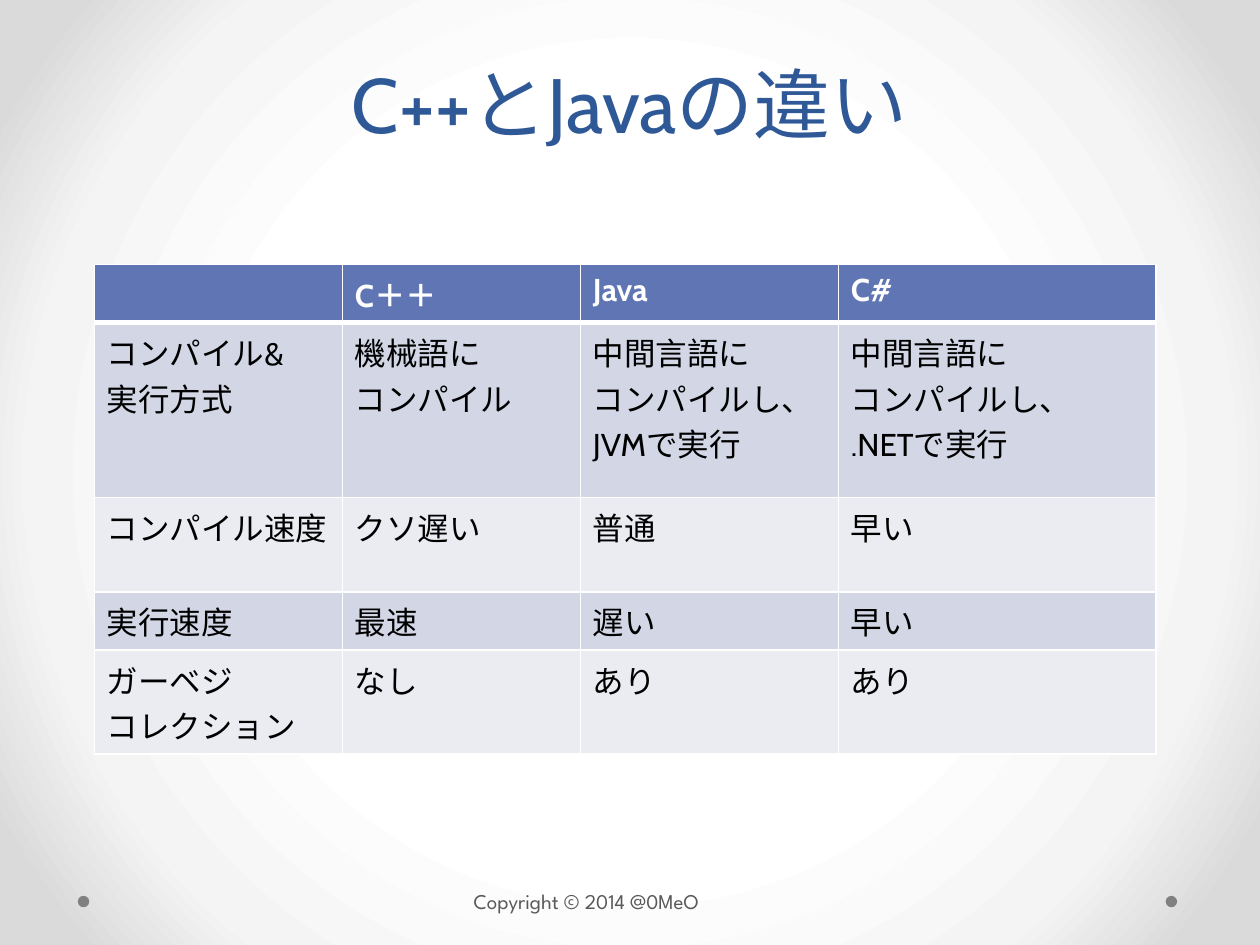
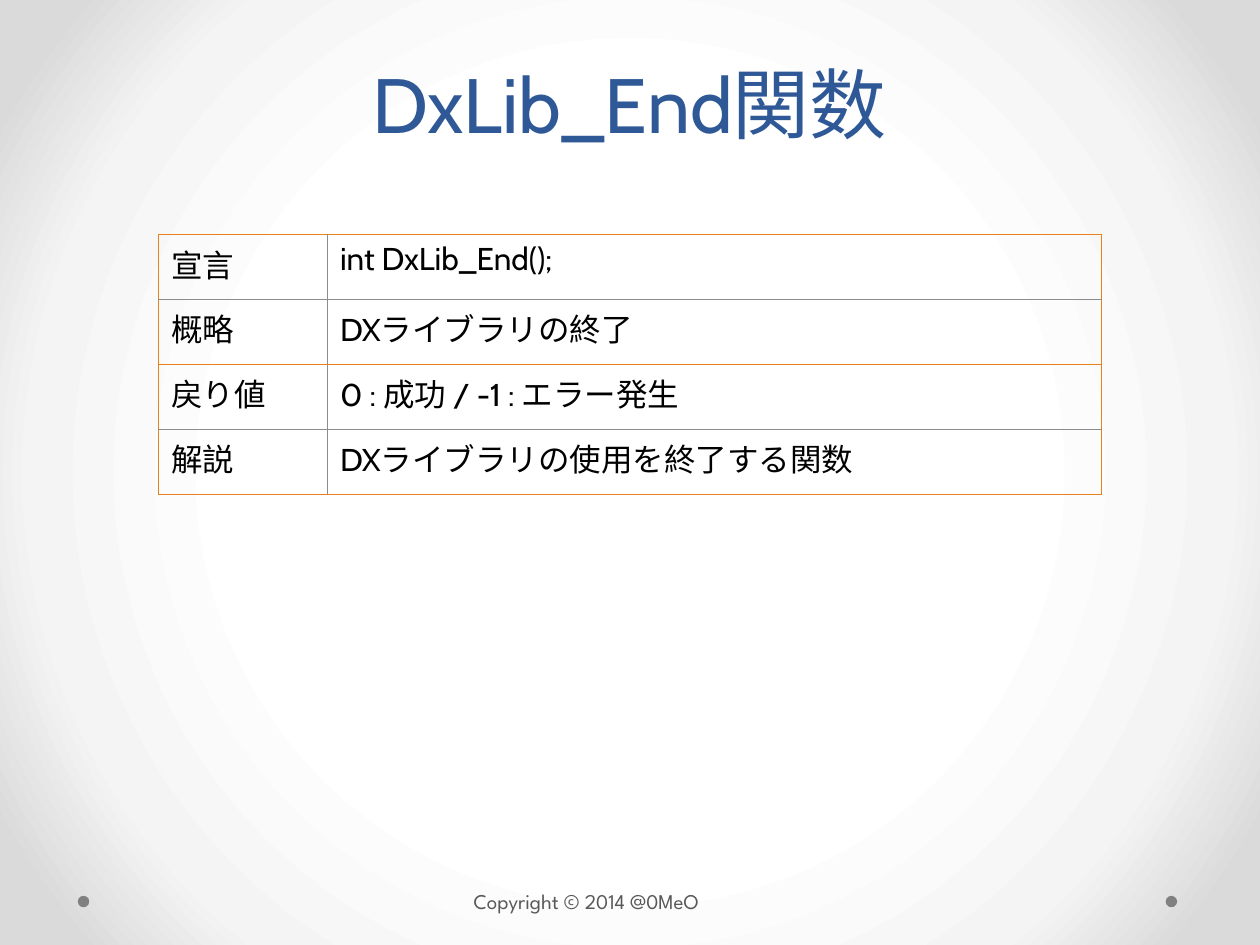
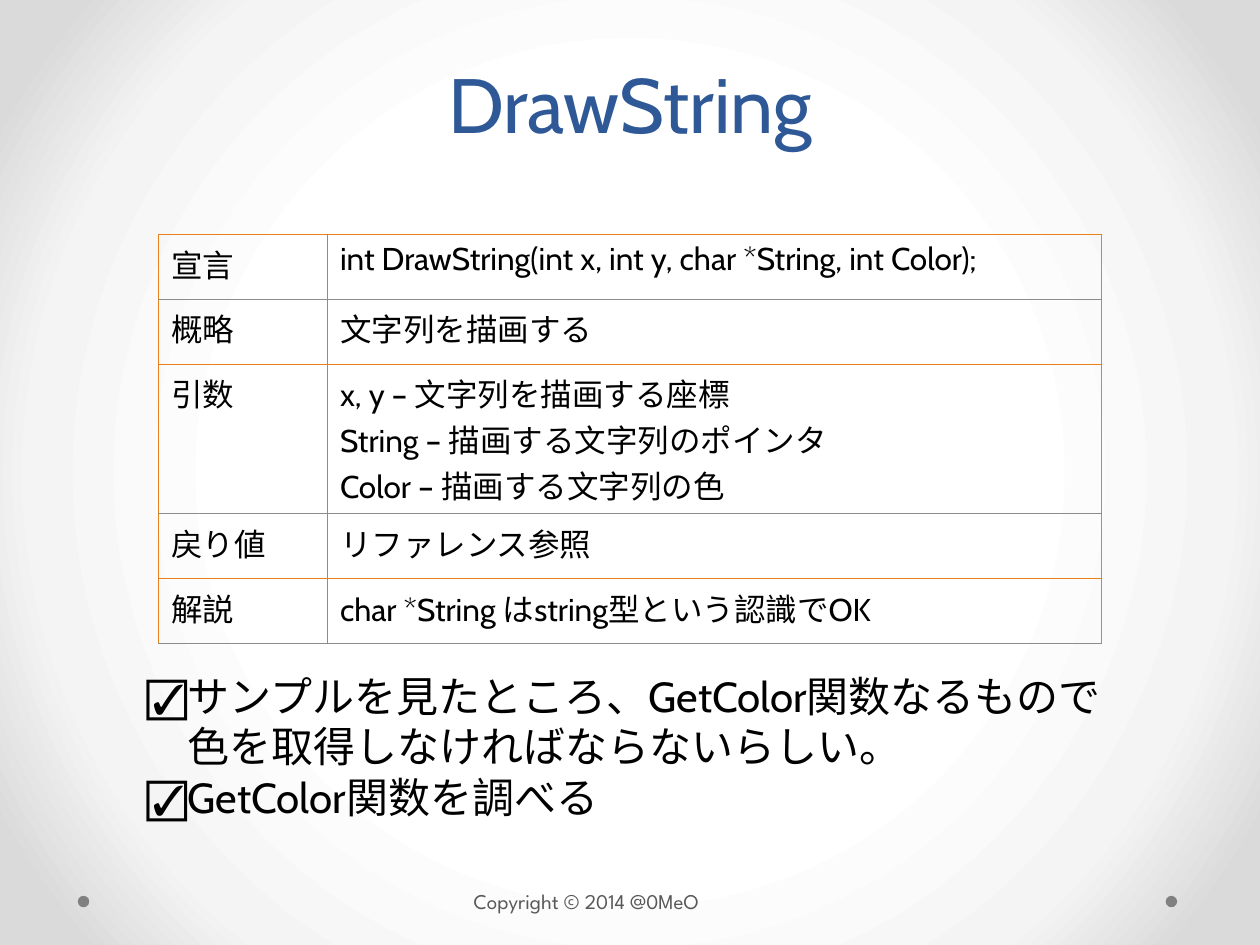
from pptx import Presentation
from pptx.dml.color import RGBColor
from pptx.enum.shapes import MSO_SHAPE
from pptx.enum.text import MSO_ANCHOR, MSO_AUTO_SIZE, PP_ALIGN
from pptx.oxml import parse_xml
from pptx.oxml.ns import nsdecls
from pptx.util import Cm, Pt

OVAL = MSO_SHAPE.OVAL
BOTTOM, CENTER = MSO_ANCHOR.BOTTOM, PP_ALIGN.CENTER
GROW = MSO_AUTO_SIZE.SHAPE_TO_FIT_TEXT

THEME = {
    "title": {"name": "Cabin", "size": Pt(44), "color": "2F5897"},
    "cell": {"name": "Cabin", "size": Pt(18), "color": "000000", "bold": False},
    "header": {"name": "Cabin", "size": Pt(18), "color": "FFFFFF", "bold": True},
    "note": {"name": "Cabin", "size": Pt(24), "color": "000000"},
    "footer": {"name": "League Spartan", "size": Pt(12), "color": "595959"},
    "background": [(50, "FFFFFF"), (76, "F4F4F4"), (92, "DADADA")],
    "dot": "808080",
    "header_fill": "6076B4",
    "bands": ["EAECF2", "D2D6E5"],
    "white": "FFFFFF",
    "orange": "E6811C",
    "grey": "8C8C8C",
}


def write_text(tf, text, style):
    """Fill a text frame, one paragraph per line, and format its runs."""
    tf.text = text
    for p in tf.paragraphs:
        for r in p.runs:
            for key, value in style.items():
                if key == "color":
                    r.font.color.rgb = RGBColor.from_string(value)
                else:
                    setattr(r.font, key, value)


def add_grid(slide, spec):
    """Add a table whose cells take their fill and borders from its kind."""
    rows, cols, heights = spec["rows"], spec["cols"], spec["heights"]
    frame = slide.shapes.add_table(
        len(rows), len(cols), Cm(spec["left"]), Cm(spec["top"]),
        Cm(sum(cols)), Cm(sum(heights)))
    table = frame.table
    table.first_row = spec["banded"]
    table.horz_banding = spec["banded"]
    for column, width in zip(table.columns, cols):
        column.width = Cm(width)
    for row, height in zip(table.rows, heights):
        row.height = Cm(height)

    white, orange, grey = THEME["white"], THEME["orange"], THEME["grey"]
    for i, texts in enumerate(rows):
        for j, text in enumerate(texts):
            cell = table.cell(i, j)
            header = spec["banded"] and i == 0
            write_text(cell.text_frame, text, THEME["header" if header else "cell"])
            # Borders: white grid with a thick header rule, or orange and grey lines
            if spec["banded"]:
                borders = {"L": (white, 1), "R": (white, 1),
                           "T": (white, 3 if i == 1 else 1),
                           "B": (white, 3 if header else 1)}
            else:
                borders = {"L": (grey if j else orange, 0.75),
                           "R": (orange if j == len(cols) - 1 else grey, 0.75),
                           "T": (grey if i % 2 else orange, 0.75),
                           "B": (orange if i % 2 else grey, 0.75)}
            tc_pr = cell._tc.get_or_add_tcPr()
            for side, (color, width) in borders.items():
                tc_pr.append(parse_xml(
                    f'<a:ln{side} {nsdecls("a")} w="{Pt(width)}"><a:solidFill>'
                    f'<a:srgbClr val="{color}"/></a:solidFill></a:ln{side}>'))
            # Fill
            if spec["banded"]:
                cell.fill.solid()
                fill = THEME["header_fill"] if header else THEME["bands"][i % 2]
                cell.fill.fore_color.rgb = RGBColor.from_string(fill)
            else:
                cell.fill.background()


# Slide contents
FUNCTION_TABLE = {"banded": False, "left": 3.2, "top": 4.72, "cols": [3.4, 15.6]}
SLIDES = [
    ("C++とJavaの違い", {
        "banded": True, "left": 1.9, "top": 5.33,
        "cols": [5, 4.8, 5.2, 6.4],
        "heights": [1.09, 3.53, 1.9, 1.09, 1.9],
        "rows": [
            ["", "C＋＋", "Java", "C#"],
            ["コンパイル&\n実行方式", "機械語に\nコンパイル",
             "中間言語に\nコンパイルし、JVMで実行",
             "中間言語に\nコンパイルし、\n.NETで実行"],
            ["コンパイル速度", "クソ遅い", "普通", "早い"],
            ["実行速度", "最速", "遅い", "早い"],
            ["ガーベジ\nコレクション", "なし", "あり", "あり"],
        ]}),
    ("DxLib_End関数", {
        **FUNCTION_TABLE, "heights": [1.31] * 4,
        "rows": [
            ["宣言", "int DxLib_End();"],
            ["概略", "DXライブラリの終了"],
            ["戻り値", "0 : 成功 / -1 : エラー発生"],
            ["解説", "DXライブラリの使用を終了する関数"],
        ]}),
    ("DrawString", {
        **FUNCTION_TABLE, "heights": [1.31] * 5,
        "rows": [
            ["宣言", "int DrawString(int x, int y, char *String, int Color);"],
            ["概略", "文字列を描画する"],
            ["引数", "x, y – 文字列を描画する座標\n"
                   "String – 描画する文字列のポインタ\n"
                   "Color – 描画する文字列の色"],
            ["戻り値", "リファレンス参照"],
            ["解説", "char *String はstring型という認識でOK"],
        ]}),
]

prs = Presentation()
prs.slide_width, prs.slide_height = Cm(25.4), Cm(19.05)
layout = prs.slide_layouts[5]

# Shared background on the layout
layout.background.fill.solid()
solid = layout.element.xpath("p:cSld/p:bg/p:bgPr/a:solidFill")[0]
stops = "".join(f'<a:gs pos="{pos * 1000}"><a:srgbClr val="{color}"/></a:gs>'
                for pos, color in THEME["background"])
solid.getparent().replace(solid, parse_xml(
    f'<a:gradFill {nsdecls("a")} rotWithShape="1"><a:gsLst>{stops}</a:gsLst>'
    '<a:path path="circle"><a:fillToRect l="50000" t="50000" r="50000" b="50000"/>'
    '</a:path></a:gradFill>'))

# Titles and tables
for title, spec in SLIDES:
    s = prs.slides.add_slide(layout)
    sp = s.shapes.title
    sp.left, sp.top, sp.width, sp.height = Cm(1.27), Cm(0.61), Cm(22.86), Cm(2.51)
    write_text(sp.text_frame, title, THEME["title"])
    sp.text_frame.vertical_anchor = BOTTOM
    p = sp.text_frame.paragraphs[0]
    p.alignment, p.line_spacing = CENTER, Pt(58)
    add_grid(s, spec)

# Notes under the last table
sp = s.shapes.add_textbox(Cm(2.69), Cm(13.39), Cm(20.02), Cm(3.33))
tf = sp.text_frame
write_text(tf, "☑サンプルを見たところ、GetColor関数なるもので\n"
               "色を取得しなければならないらしい。\n"
               "☑GetColor関数を調べる", THEME["note"])
tf.word_wrap, tf.auto_size = True, GROW
tf.paragraphs[1]._p.get_or_add_pPr().set("marL", str(Cm(0.85)))

# Shared footer: drawn once, then moved to the layout
footer_parts = []
for left in (23.5, 1.57):
    sp = s.shapes.add_shape(OVAL, Cm(left), Cm(18.06), Cm(0.23), Cm(0.23))
    sp.shadow.inherit = False
    sp.fill.solid()
    sp.fill.fore_color.rgb = RGBColor.from_string(THEME["dot"])
    sp.line.fill.background()
    footer_parts.append(sp)
sp = s.shapes.add_textbox(Cm(9.3), Cm(17.78), Cm(5.84), Cm(0.76))
write_text(sp.text_frame, "Copyright © 2014 @0MeO", THEME["footer"])
sp.text_frame.word_wrap = True
footer_parts.append(sp)
for number, sp in enumerate(footer_parts):
    sp.element.nvSpPr.cNvPr.set("id", str(100 + number))
    layout.shapes.element.append(sp.element)

prs.save("out.pptx")
